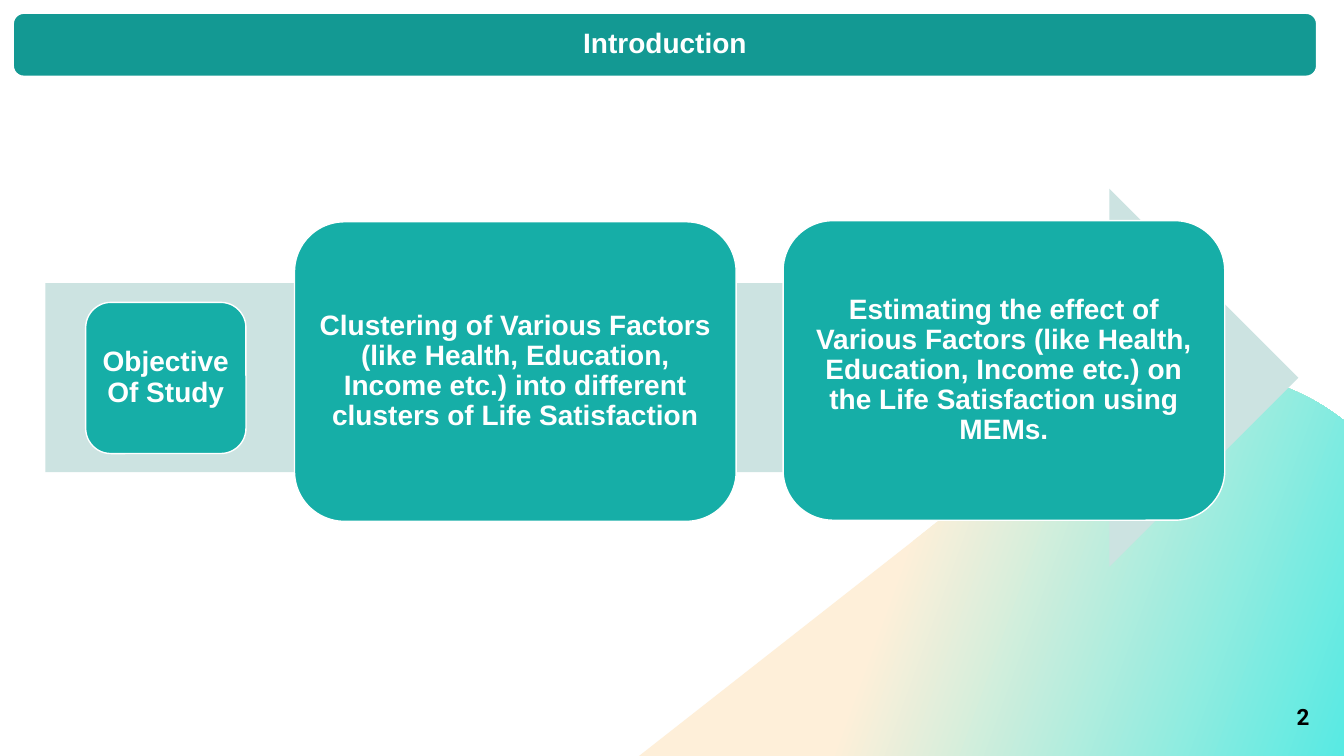
from pptx import Presentation
from pptx.dml.color import RGBColor
from pptx.enum.shapes import MSO_SHAPE
from pptx.enum.text import MSO_ANCHOR, MSO_AUTO_SIZE, PP_ALIGN
from pptx.util import Pt

ROUND, ARROW = MSO_SHAPE.ROUNDED_RECTANGLE, MSO_SHAPE.RIGHT_ARROW
MIDDLE, FIXED = MSO_ANCHOR.MIDDLE, MSO_AUTO_SIZE.NONE
CENTER, RIGHT = PP_ALIGN.CENTER, PP_ALIGN.RIGHT

COLORS = {
    "white": "FFFFFF", "black": "000000", "teal": "16AEA7",
    "banner": "139993", "arrow": "CCE3E1", "cream": "FEEFD9", "aqua": "58EAE3",
}
WIDE, HIGH = 960, 540
LABEL = {"name": "Arial", "size": Pt(20), "bold": True}
NUMBER = {"name": "Roboto", "size": Pt(16), "bold": True}
# Boxes are measured from the corner of the arrow.
STEPS = [
    ((28.8, 81.2, 114.5, 108), "Objective Of Study"),
    ((527, 22.8, 315.5, 214),
     "Estimating the effect of Various Factors (like Health, Education, "
     "Income etc.) on the Life Satisfaction using MEMs."),
    ((178, 23.6, 315.5, 214),
     "Clustering of Various Factors (like Health, Education, Income etc.) "
     "into different clusters of Life Satisfaction"),
]


def color(name):
    return RGBColor.from_string(COLORS[name])


def write(shape, text, style, ink="white", align=CENTER, space=0.9, pad=5.6):
    frame = shape.text_frame
    layout = {"word_wrap": True, "auto_size": FIXED, "vertical_anchor": MIDDLE}
    for side in ("left", "right", "top", "bottom"):
        layout["margin_" + side] = Pt(pad)
    for key, value in layout.items():
        setattr(frame, key, value)
    frame.text = text
    para = frame.paragraphs[0]
    para.alignment, para.line_spacing = align, space
    font = para.runs[0].font
    for key, value in style.items():
        setattr(font, key, value)
    font.color.rgb = color(ink)


def block(slide, kind, box, fill, edge=True):
    shape = slide.shapes.add_shape(kind, *map(Pt, box))
    shape.shadow.inherit = False
    shape.fill.solid()
    shape.fill.fore_color.rgb = color(fill)
    if edge:
        shape.line.color.rgb = color("white")
        shape.line.width = Pt(1)
    else:
        shape.line.fill.background()
    return shape


def curve(start, first, second, end, count=24):
    """Return points along a cubic curve, without its start."""
    points = []
    for i in range(1, count + 1):
        t = i / count
        u = 1 - t
        points.append(tuple(
            u**3 * a + 3 * u * u * t * b + 3 * u * t * t * c + t**3 * d
            for a, b, c, d in zip(start, first, second, end)))
    return points


def corner(slide, box):
    """Draw the gradient hill that fills the lower right corner."""
    left, top, width, height = box
    peak, edge = (407, 0), (width, 34)
    slope, bend = (312, 29), (397.5, 0)
    points = curve(peak, (441, 0), (475, 11.5), edge)
    points += [(width, height), (0, height), (308, 32), slope]
    points += curve(slope, (338, 11), (368, 1), bend)
    spots = [(Pt(left + x), Pt(top + y)) for x, y in [peak] + points]
    path = slide.shapes.build_freeform(*spots[0])
    path.add_line_segments(spots[1:], close=True)
    hill = path.convert_to_shape()
    hill.shadow.inherit = False
    hill.line.fill.background()
    hill.fill.gradient()
    hill.fill.gradient_angle = 340
    for stop, place, name in zip(hill.fill.gradient_stops, (0.39, 1), ("cream", "aqua")):
        stop.position = place
        stop.color.rgb = color(name)


def process(slide, box):
    """Draw the wide arrow and the step boxes on it."""
    left, top = box[:2]
    block(slide, ARROW, box, "arrow", edge=False)
    for (x, y, width, height), text in STEPS:
        place = (left + x, top + y, width, height)
        write(block(slide, ROUND, place, "teal"), text, LABEL)


def header(slide, box):
    left, top, width, height = box
    block(slide, ROUND, box, "banner")
    title = slide.shapes.title
    place = (left + 27, top, width - 54, height)
    for key, value in zip(("left", "top", "width", "height"), place):
        setattr(title, key, Pt(value))
    write(title, "Introduction", LABEL)
    slide.shapes.element.append(title.element)


def footer(slide, box):
    number = slide.shapes.add_textbox(*map(Pt, box))
    write(number, "2", NUMBER, ink="black", align=RIGHT, space=1, pad=7.2)


def main():
    deck = Presentation()
    deck.slide_width, deck.slide_height = Pt(WIDE), Pt(HIGH)
    slide = deck.slides.add_slide(deck.slide_layouts[5])
    corner(slide, (456.5, 266.4, WIDE - 456.5, HIGH - 266.4))
    process(slide, (32.4, 134.8, 895, 270))
    header(slide, (9.5, 9.5, 931, 45))
    footer(slide, (894.5, 497.5, 48, 29))
    deck.save("out.pptx")


if __name__ == "__main__":
    main()
